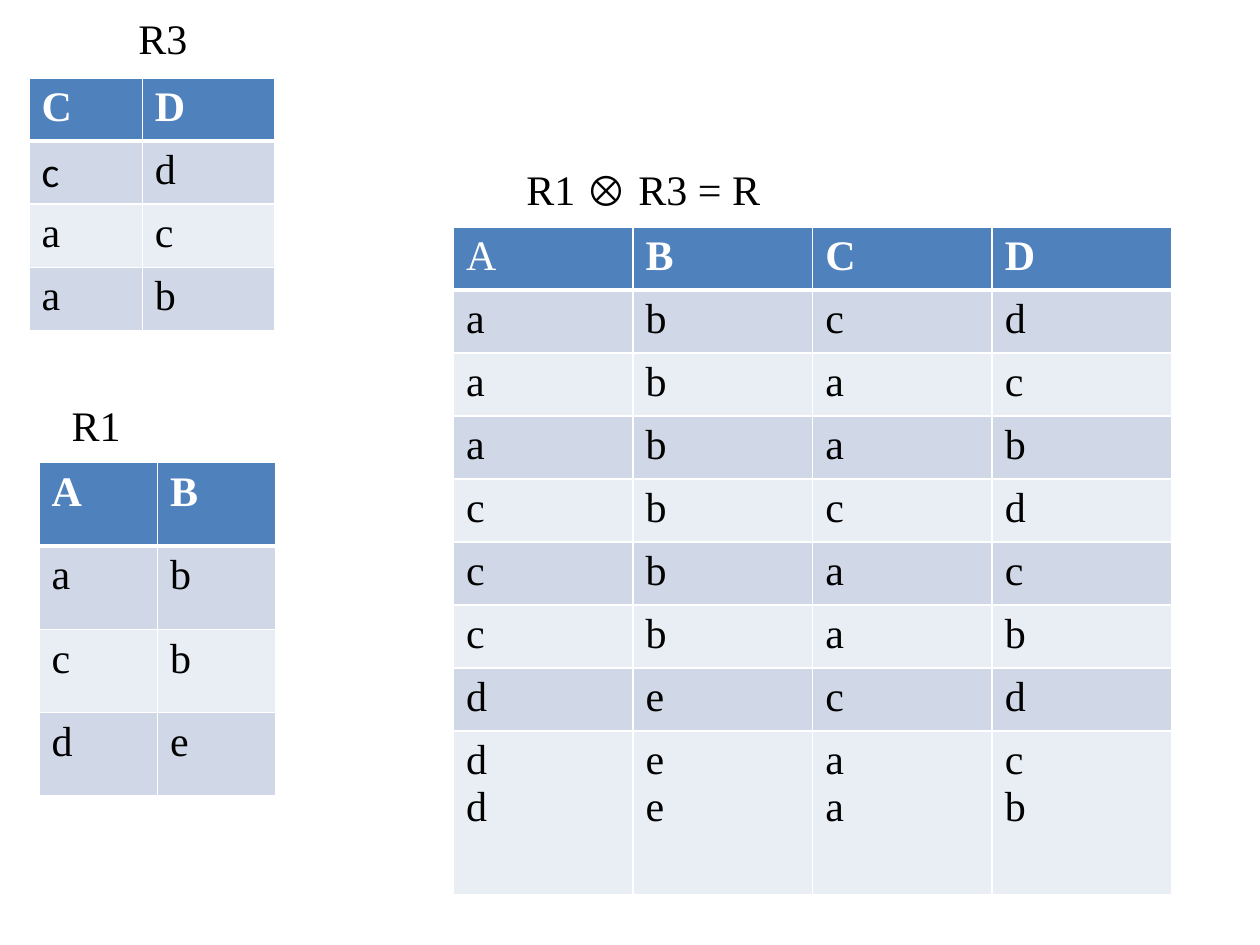
from lxml import etree
from pptx import Presentation
from pptx import util as u
from pptx.dml import color as colors
from pptx.oxml import ns

WHITE = colors.RGBColor(0xFF, 0xFF, 0xFF)
BLACK = colors.RGBColor(0x00, 0x00, 0x00)
HEADER = colors.RGBColor(0x4F, 0x81, 0xBD)
BANDS = [colors.RGBColor(0xE9, 0xED, 0xF4), colors.RGBColor(0xD0, 0xD8, 0xE8)]
FORMAT = {"name": "Times New Roman", "size": u.Pt(24), "bold": False}


def write(para, words, color=BLACK, **changes):
    span = para.add_run()
    span.text = words
    for key, value in (FORMAT | changes).items():
        setattr(span.font, key, value)
    span.font.color.rgb = color


def add_border(cell, side, width):
    properties = cell._tc.get_or_add_tcPr()
    line = etree.SubElement(properties, ns.qn(f"a:{side}"), w=str(u.Pt(width)))
    solid = etree.SubElement(line, ns.qn("a:solidFill"))
    etree.SubElement(solid, ns.qn("a:srgbClr"), val=str(WHITE))


deck = Presentation()
deck.slide_width = u.Inches(10)
deck.slide_height = u.Inches(7.5)
page = deck.slides.add_slide(deck.slide_layouts[6])

titles = [
    ("R3", 1, 0.05, 0.59),
    ("R1 ⊗ R3 = R", 4.08, 1.25, 2.1),
    ("R1", 0.47, 3.12, 0.59),
]
for words, left, top, width in titles:
    box = page.shapes.add_textbox(
        u.Inches(left), u.Inches(top), u.Inches(width), u.Inches(0.5))
    box.text_frame.word_wrap = False
    write(box.text_frame.paragraphs[0], words)

relations = [
    ("R3", 0.23, 0.62, [0.9, 1.05], [0.5] * 4, ["CD", "cd", "ac", "ab"]),
    ("R", 3.6, 1.8, [5.7 / 4] * 4, [0.49] + [0.5] * 7 + [1.3],
     ["ABCD", "abcd", "abac", "abab", "cbcd", "cbac", "cbab", "decd",
      ["d\nd", "e\ne", "a\na", "c\nb"]]),
    ("R1", 0.31, 3.67, [0.94] * 2, [2.65 / 4] * 4, ["AB", "ab", "cb", "de"]),
]
for relation, left, top, widths, heights, rows in relations:
    table = page.shapes.add_table(
        len(rows), len(widths), u.Inches(left), u.Inches(top),
        u.Inches(sum(widths)), u.Inches(sum(heights))).table
    for column, width in zip(table.columns, widths):
        column.width = u.Inches(width)
    for r, (height, values) in enumerate(zip(heights, rows)):
        table.rows[r].height = u.Inches(height)
        for c, value in enumerate(values):
            cell = table.cell(r, c)
            for side in ("lnL", "lnR", "lnT", "lnB"):
                thick = (r, side) in [(0, "lnB"), (1, "lnT")]
                add_border(cell, side, 3 if thick else 1)
            cell.fill.solid()
            cell.fill.fore_color.rgb = BANDS[r % 2] if r else HEADER
            style = {}
            if r == 0:
                style = {"color": WHITE, "bold": (relation, c) != ("R", 0)}
            elif (relation, r, c) == ("R3", 1, 0):
                style = {"name": "Calibri"}
            for i, words in enumerate(value.split("\n")):
                body = cell.text_frame
                para = body.add_paragraph() if i else body.paragraphs[0]
                write(para, words, **style)

deck.save("out.pptx")
